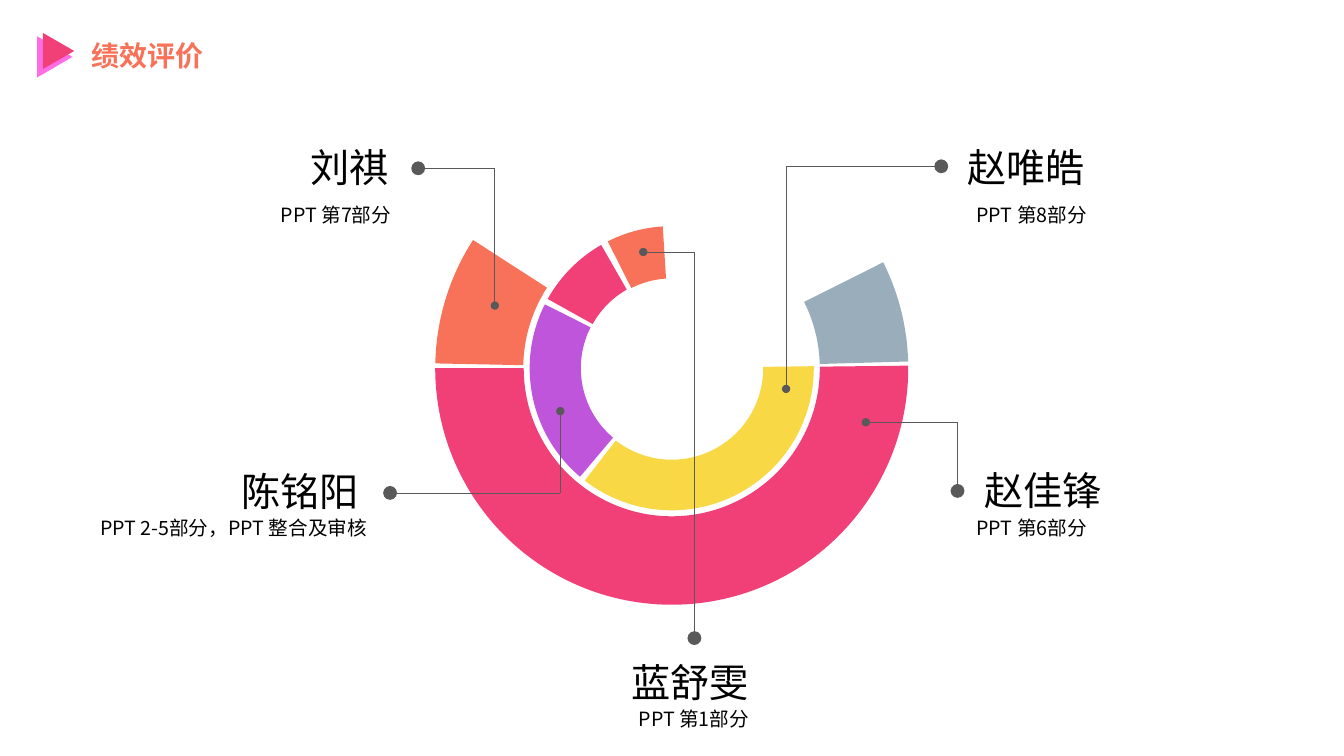
from lxml.etree import SubElement as Sub
from pptx import Presentation
from pptx.dml.color import RGBColor as Rgb
from pptx.enum.shapes import MSO_CONNECTOR as Link, MSO_SHAPE as Shape
from pptx.enum.text import MSO_AUTO_SIZE as Fit, PP_ALIGN as Align
from pptx.oxml.ns import qn
from pptx.util import Cm, Pt

FONT = "Noto Sans CJK SC"
HEX = {
    "pink": "F04077", "magenta": "FF6CE4", "orange": "F77258",
    "purple": "BF55DB", "yellow": "F8D845", "slate": "99AEBA",
    "gray": "595959", "black": "000000",
}
L, C, R = Align.LEFT, Align.CENTER, Align.RIGHT

TITLE = ("绩效评价", 2.06, 0.84, 8.38)
MARKS = [(0.86, 0.99, 1.04, 0.89, "magenta"), (1.02, 0.89, 0.91, 0.79, "pink")]

MID = (16.93, 9.28)
OUTER, INNER = 5.96, 3.58
ARCS = [
    (OUTER, 359.38, 180, 0.187, "pink"),
    (INNER, 130.21, 206.73, 0.18, "purple"),
    (INNER, 359.17, 127.75, 0.178, "yellow"),
    (INNER, 209.19, 240.21, 0.181, "pink"),
    (OUTER, 181.17, 212.84, 0.186, "orange"),
    (OUTER, 333.39, 358.37, 0.187, "slate"),
    (INNER, 243.23, 266.37, 0.184, "orange"),
]

PEOPLE = [
    {"name": ("赵唯皓", 24.13, 3.48, 3.51, L),
     "duty": ("PPT 第8部分", 24.36, 5.0, 6.22, L),
     "lead": [(19.81, 9.8), (19.81, 4.19), (23.72, 4.19)]},
    {"name": ("刘祺", 7.54, 3.48, 2.51, R),
     "duty": ("PPT 第7部分", 1.85, 5.0, 8.26, R),
     "lead": [(12.47, 7.7), (12.47, 4.24), (10.54, 4.24)]},
    {"name": ("陈铭阳", 5.79, 11.66, 3.51, R),
     "duty": ("PPT 2-5部分，PPT 整合及审核", 1.09, 12.88, 8.41, R),
     "lead": [(14.12, 10.36), (14.12, 12.42), (9.83, 12.42)]},
    {"name": ("赵佳锋", 24.56, 11.63, 3.51, L),
     "duty": ("PPT 第6部分", 24.36, 12.88, 6.22, L),
     "lead": [(21.82, 10.64), (24.13, 10.64), (24.13, 12.37)]},
    {"name": ("蓝舒雯", 15.62, 16.46, 3.51, R),
     "duty": ("PPT 第1部分", 14.38, 17.68, 6.22, C),
     "lead": [(16.21, 6.35), (17.5, 6.35), (17.5, 16.08)]},
]


def paint(shape, hue):
    shape.shadow.inherit = False
    shape.fill.solid()
    shape.fill.fore_color.rgb = Rgb.from_string(HEX[hue])
    shape.line.fill.background()


def write(slide, text, x, y, w, h, size, align=L, hue="black", bold=False, wrap=True):
    frame = slide.shapes.add_textbox(Cm(x), Cm(y), Cm(w), Cm(h)).text_frame
    frame.word_wrap = wrap
    frame.auto_size = Fit.SHAPE_TO_FIT_TEXT
    para = frame.paragraphs[0]
    para.alignment = align
    run = para.add_run()
    run.text = text
    font = run.font
    font.size, font.bold, font.name = Pt(size), bold, FONT
    font.color.rgb = Rgb.from_string(HEX[hue])
    Sub(run._r.get_or_add_rPr(), qn("a:ea"), typeface=FONT)


def draw_arc(slide, rad, start, end, depth, hue):
    x, y = (c - rad for c in MID)
    arc = slide.shapes.add_shape(
        Shape.BLOCK_ARC, Cm(x), Cm(y), Cm(2 * rad), Cm(2 * rad))
    for i, val in enumerate((start * 0.6, end * 0.6, depth)):
        arc.adjustments[i] = val
    paint(arc, hue)


def draw_lead(slide, dot, turn, label):
    group = slide.shapes.add_group_shape()
    legs = [(dot, turn, "a:headEnd", "med"), (turn, label, "a:tailEnd", "lg")]
    for start, end, tip, size in legs:
        line = group.shapes.add_connector(
            Link.STRAIGHT, *(Cm(v) for v in start + end))
        line.line.width = Pt(0.5)
        line.line.color.rgb = Rgb.from_string(HEX["gray"])
        Sub(line.line._get_or_add_ln(), qn(tip), type="oval", w=size, len=size)
        Sub(line._element.spPr, qn("a:effectLst"))


def main():
    deck = Presentation()
    deck.slide_width, deck.slide_height = Cm(33.87), Cm(19.05)
    slide = deck.slides.add_slide(deck.slide_layouts[6])

    logo = slide.shapes.add_group_shape()
    for x, y, w, h, hue in MARKS:
        mark = logo.shapes.add_shape(
            Shape.ISOSCELES_TRIANGLE, Cm(x), Cm(y), Cm(w), Cm(h))
        mark.rotation = 90
        paint(mark, hue)
    write(slide, *TITLE, 1.12, 20, hue="orange", bold=True)

    for arc in ARCS:
        draw_arc(slide, *arc)
    for person in PEOPLE:
        draw_lead(slide, *person["lead"])
        text, x, y, w, align = person["name"]
        write(slide, text, x, y, w, 1.45, 28, align, wrap=False)
        text, x, y, w, align = person["duty"]
        write(slide, text, x, y, w, 0.86, 14, align)

    deck.save("out.pptx")


if __name__ == "__main__":
    main()
